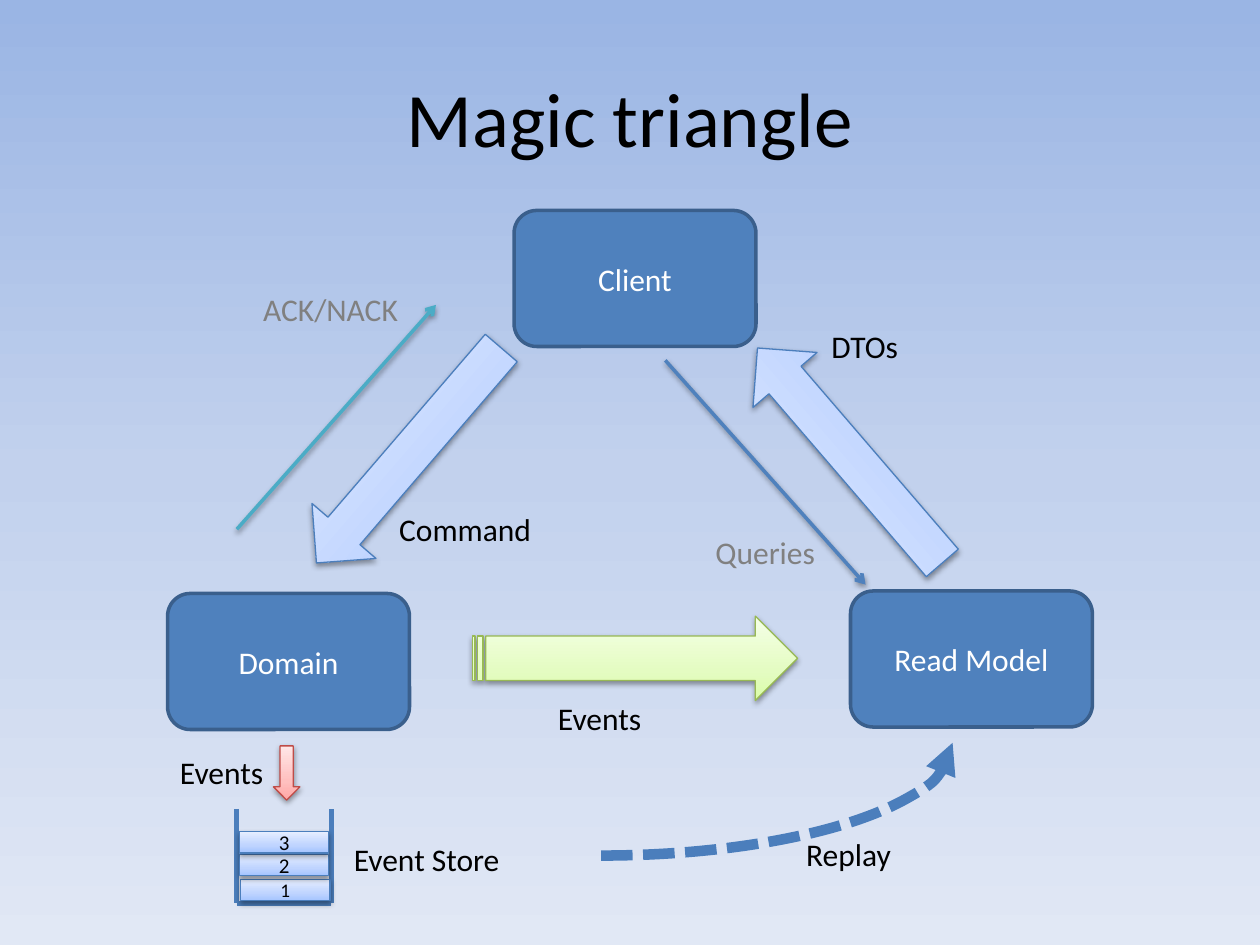
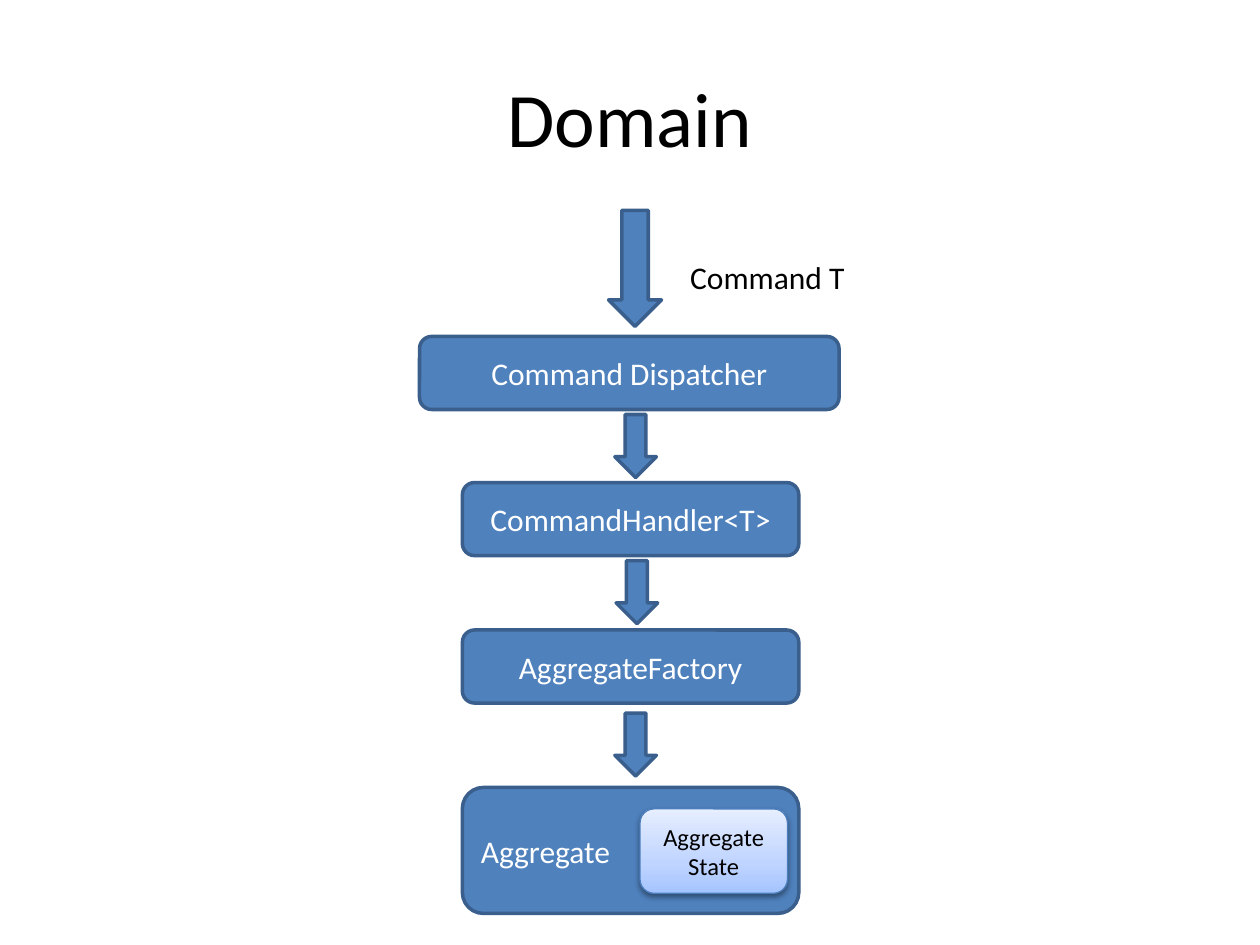
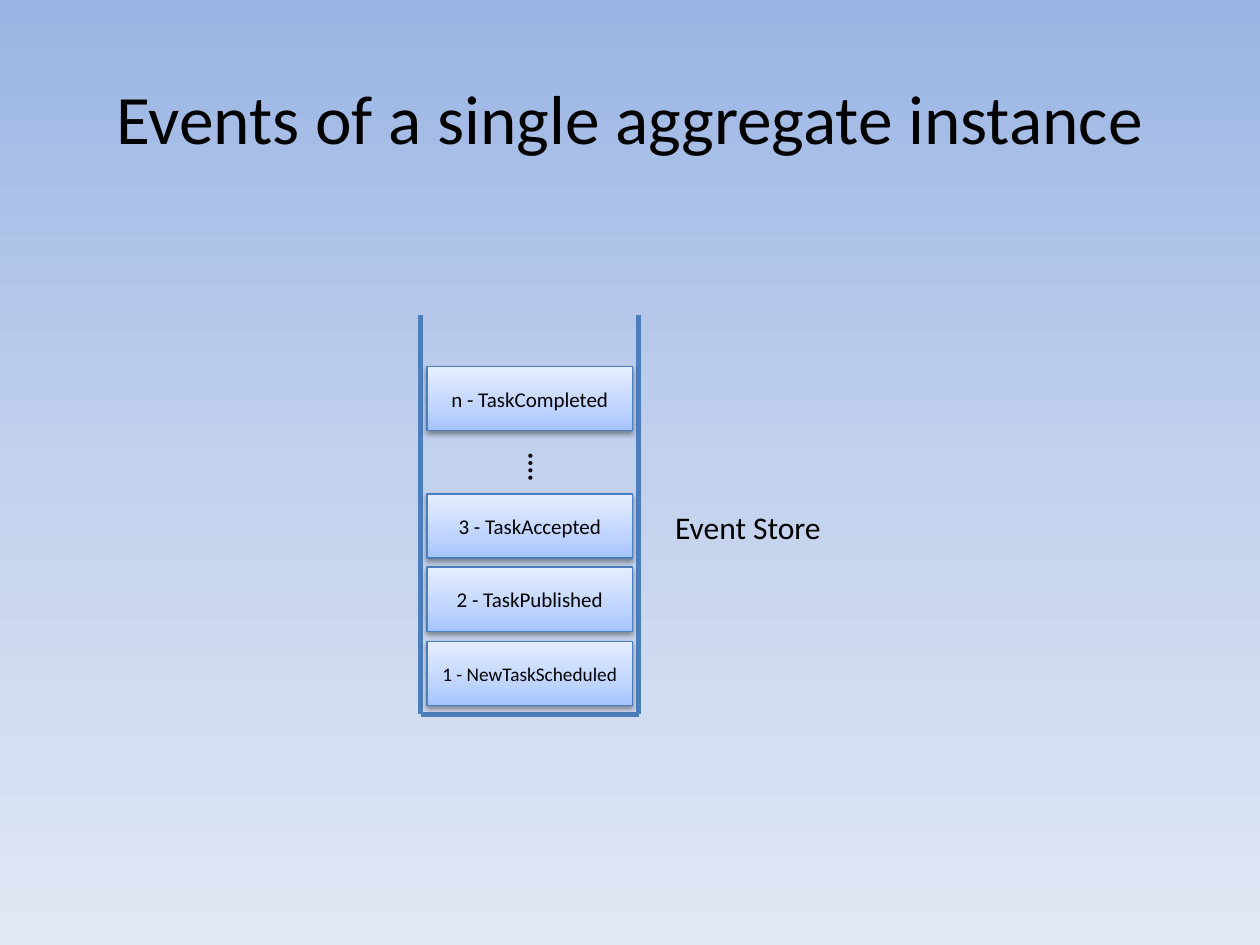
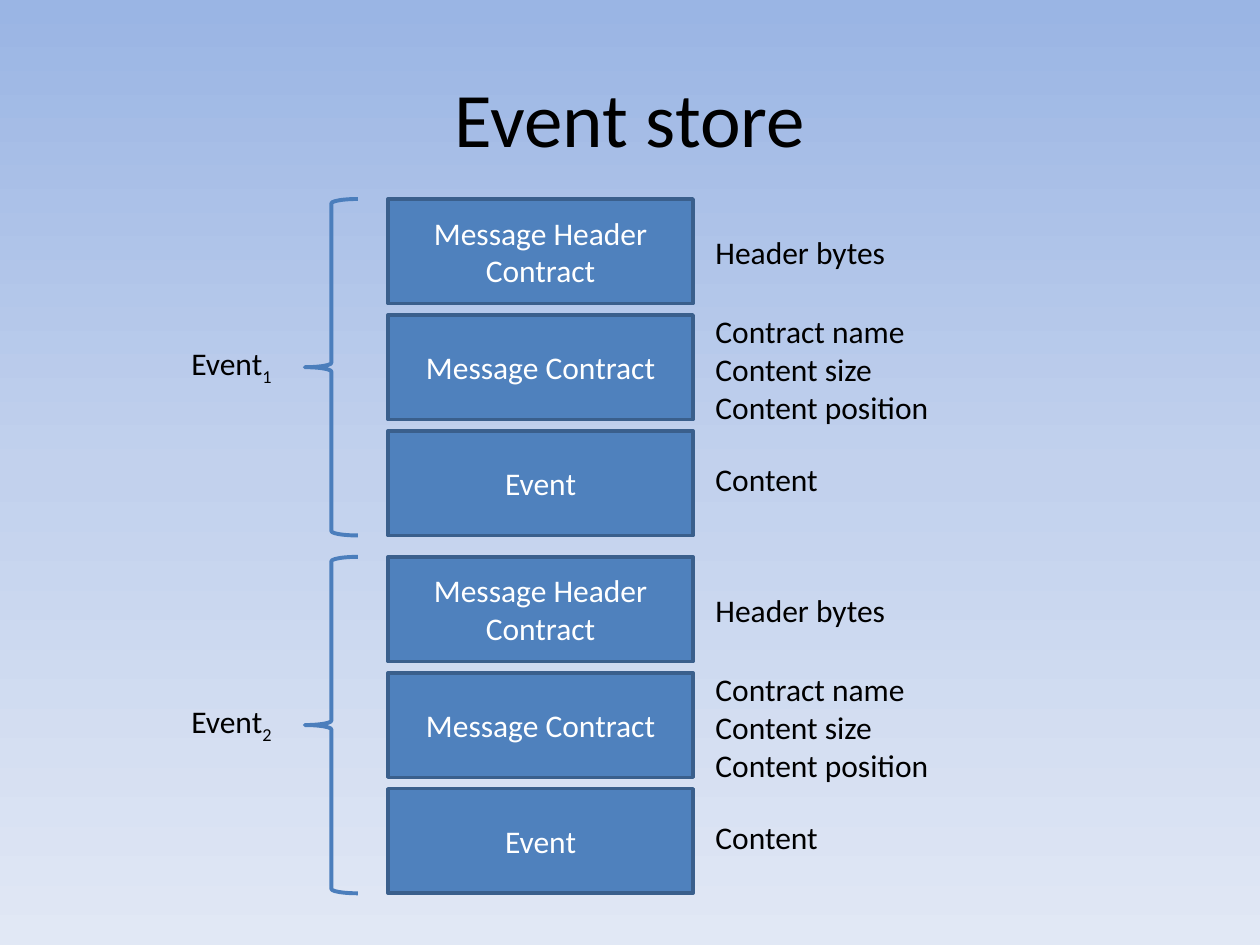
from copy import deepcopy

from lxml import etree
from pptx import Presentation
from pptx.dml.color import RGBColor
from pptx.enum.dml import MSO_LINE
from pptx.enum.shapes import MSO_CONNECTOR, MSO_SHAPE
from pptx.enum.text import MSO_ANCHOR, MSO_AUTO_SIZE, PP_ALIGN
from pptx.oxml.ns import qn
from pptx.util import Inches, Pt

ROUNDED, RECT = MSO_SHAPE.ROUNDED_RECTANGLE, MSO_SHAPE.RECTANGLE
RIGHT_ARROW, DOWN_ARROW = MSO_SHAPE.RIGHT_ARROW, MSO_SHAPE.DOWN_ARROW
STRIPED_ARROW = MSO_SHAPE.STRIPED_RIGHT_ARROW
ARC, BRACE = MSO_SHAPE.ARC, MSO_SHAPE.LEFT_BRACE
LEFT, CENTER, MIDDLE = PP_ALIGN.LEFT, PP_ALIGN.CENTER, MSO_ANCHOR.MIDDLE

FONT = "Calibri"
COLORS = {
    "black": "000000", "white": "FFFFFF", "grey": "808080",
    "blue": "4F81BD", "navy": "3A5F8C", "steel": "4B7EBC",
    "teal": "4BACC6", "green": "98B955", "red": "BF4C48",
}
RGB = {name: RGBColor.from_string(value) for name, value in COLORS.items()}

# Gradients: three colours and the position of the middle one
BACKDROP = (("9AB5E4", "C2D1ED", "E1E8F5"), 0.5)
PALE_BLUE = (("A4C4FF", "BFD4FF", "E6EEFF"), 0.35)
PALE_GREEN = (("DAFDA7", "E4FCC2", "F5FFE7"), 0.35)
PALE_RED = (("FFA6A5", "FFC0BF", "FFE7E7"), 0.35)

# Looks: fill, line colour, line width, text colour
LOOKS = {
    "solid": ("blue", "navy", 2, "white"),
    "pale": (PALE_BLUE, "steel", 0.75, "black"),
    "green": (PALE_GREEN, "green", 0.75, "black"),
    "red": (PALE_RED, "red", 0.75, "black"),
    "replay": (None, "steel", 6, "black"),
    "brace": (None, "steel", 2.25, "black"),
}
SHADOW = etree.fromstring(
    '<a:outerShdw xmlns:a="http://schemas.openxmlformats.org/drawingml/2006/main" '
    'blurRad="40000" dist="20000" dir="5400000" rotWithShape="0">'
    '<a:srgbClr val="000000"><a:alpha val="38000"/></a:srgbClr></a:outerShdw>')


def fill_gradient(fill, holder, gradient, angle):
    """Fill with three colours; holder is the element that contains the fill."""
    colors, middle = gradient
    fill.gradient()
    fill.gradient_angle = angle
    stop_list = holder.find(".//" + qn("a:gsLst"))
    stop_list.insert(1, deepcopy(stop_list[0]))
    for stop, color, position in zip(fill.gradient_stops, colors, (0, middle, 1)):
        stop.color.rgb = RGBColor.from_string(color)
        stop.position = position


def draw(slide, kind, box, look=None, text="", size=18, align=CENTER, color="black"):
    """Draw a preset shape in one of the looks, or a plain label if kind is None."""
    place = [Inches(value) for value in box]
    if kind is None:
        shape = slide.shapes.add_textbox(*place)
        shape.text_frame.word_wrap = False
        shape.text_frame.auto_size = MSO_AUTO_SIZE.SHAPE_TO_FIT_TEXT
        align = LEFT
    else:
        shape = slide.shapes.add_shape(kind, *place)
        fill, line, width, color = LOOKS[look]
        shape.shadow.inherit = False
        shape.line.color.rgb = RGB[line]
        shape.line.width = Pt(width)
        if fill is None:
            shape.fill.background()
        elif isinstance(fill, str):
            shape.fill.solid()
            shape.fill.fore_color.rgb = RGB[fill]
        else:
            fill_gradient(shape.fill, shape._element.spPr, fill, 90)
            shape._element.spPr.find(qn("a:effectLst")).append(deepcopy(SHADOW))
        shape.text_frame.vertical_anchor = MIDDLE
    if text:
        shape.text_frame.text = text
        for paragraph in shape.text_frame.paragraphs:
            paragraph.alignment = align
            paragraph.font.name = FONT
            paragraph.font.size = Pt(size)
            paragraph.font.color.rgb = RGB[color]
    return shape


prs = Presentation()
prs.slide_width, prs.slide_height = Inches(10), Inches(7.5)

# Slides with their titles and backgrounds
slides = []
for heading, size, backdrop in [
    ("Magic triangle", 44, True),
    ("Domain", 44, False),
    ("Events of a single aggregate instance", 39.6, True),
    ("Event store", 44, True),
]:
    slide = prs.slides.add_slide(prs.slide_layouts[5])
    if backdrop:
        fill_gradient(slide.background.fill, slide._element, BACKDROP, 270)
    title = slide.shapes.title
    title.left, title.top = Inches(0.5), Inches(0.3)
    title.width, title.height = Inches(9), Inches(1.25)
    title.text_frame.text = heading
    title.text_frame.vertical_anchor = MIDDLE
    paragraph = title.text_frame.paragraphs[0]
    paragraph.alignment = CENTER
    paragraph.font.name = FONT
    paragraph.font.size = Pt(size)
    paragraph.font.color.rgb = RGB["black"]
    slides.append(slide)
triangle, domain, instance, store = slides

# Lines: open containers of both event stores, then the two thin arrows
lines = []
for slide, left, right, top, bottom in [
    (triangle, 1.88, 2.63, 6.42, 7.17),
    (instance, 3.34, 5.07, 2.5, 5.67),
]:
    corners = [(left, top), (left, bottom), (right, bottom), (right, top)]
    for start, end in zip(corners, corners[1:]):
        lines.append((slide, start, end, "steel", 3, False))
lines.append((triangle, (1.88, 4.2), (3.46, 2.42), "teal", 2, True))
lines.append((triangle, (5.28, 2.86), (6.87, 4.64), "blue", 2, True))
for slide, start, end, color, width, is_arrow in lines:
    line = slide.shapes.add_connector(
        MSO_CONNECTOR.STRAIGHT, *[Inches(value) for value in start + end])
    line.line.color.rgb = RGB[color]
    line.line.width = Pt(width)
    effects = etree.SubElement(line._element.spPr, qn("a:effectLst"))
    if is_arrow:
        etree.SubElement(line.line._get_or_add_ln(), qn("a:tailEnd"), type="arrow")
        effects.append(deepcopy(SHADOW))

# Magic triangle: the three corners
for name, left, top in [
    ("Client", 4.08, 1.67), ("Read Model", 6.75, 4.69), ("Domain", 1.33, 4.71),
]:
    draw(triangle, ROUNDED, (left, top, 1.92, 1.08), "solid", name)

# Magic triangle: block arrows
events_arrow = draw(triangle, STRIPED_ARROW, (3.75, 4.89, 2.58, 0.67), "green")
events_arrow.adjustments[0] = 0.528
command_arrow = draw(triangle, RIGHT_ARROW, (2.12, 3.28, 2.25, 0.67), "pale")
command_arrow.rotation = 130.7
command_arrow._element.spPr.xfrm.set("flipV", "1")
dto_arrow = draw(triangle, RIGHT_ARROW, (5.62, 3.28, 2.25, 0.67), "pale")
dto_arrow.rotation = 229.3
draw(triangle, DOWN_ARROW, (2.17, 5.92, 0.21, 0.43), "red")

# Magic triangle: stored events and the replay curve
for number, left, top, size in [
    ("1", 1.91, 6.98, 11), ("2", 1.9, 6.78, 12), ("3", 1.9, 6.6, 12),
]:
    draw(triangle, RECT, (left, top, 0.71, 0.17), "pale", number, size)
replay = draw(triangle, ARC, (1.98, 5, 5.58, 1.79), "replay")
replay.rotation = 180
replay._element.spPr.xfrm.set("flipH", "1")
replay.line.dash_style = MSO_LINE.SQUARE_DOT
etree.SubElement(replay.line._get_or_add_ln(), qn("a:tailEnd"), type="triangle")

# Magic triangle: labels
for text, left, top, width, color in [
    ("Events", 4.33, 5.5, 0.87, "black"),
    ("Command", 3.07, 4, 1.26, "black"),
    ("DTOs", 6.5, 2.55, 0.74, "black"),
    ("Event Store", 2.71, 6.62, 1.37, "black"),
    ("Events", 1.33, 5.93, 0.87, "black"),
    ("Replay", 6.3, 6.58, 0.88, "black"),
    ("ACK/NACK", 1.99, 2.25, 1.28, "grey"),
    ("Queries", 5.58, 4.18, 1, "grey"),
]:
    draw(triangle, None, (left, top, width, 0.4), text=text, color=color)

# Domain: chain of steps, arrows between them, and the state
for text, left, top, width, height, align in [
    ("Command Dispatcher", 3.33, 2.67, 3.33, 0.58, CENTER),
    ("CommandHandler<T>", 3.67, 3.83, 2.67, 0.58, CENTER),
    ("AggregateFactory", 3.67, 5, 2.67, 0.58, CENTER),
    ("Aggregate", 3.67, 6.25, 2.67, 1, LEFT),
]:
    draw(domain, ROUNDED, (left, top, width, height), "solid", text, align=align)
for arrow_box in [
    (4.83, 1.67, 0.42, 0.92), (4.88, 3.29, 0.33, 0.5),
    (4.89, 4.45, 0.33, 0.5), (4.88, 5.66, 0.33, 0.5),
]:
    draw(domain, DOWN_ARROW, arrow_box, "solid")
draw(domain, None, (5.38, 2, 1.44, 0.4), text="Command T")
draw(domain, ROUNDED, (5.08, 6.42, 1.17, 0.67), "pale", "Aggregate\nState", 14)

# Events of a single aggregate instance
for text, top, size in [
    ("1 - NewTaskScheduled", 5.09, 11), ("2 - TaskPublished", 4.5, 12),
    ("3 - TaskAccepted", 3.92, 12), ("n - TaskCompleted", 2.91, 12),
]:
    draw(instance, RECT, (3.39, top, 1.63, 0.51), "pale", text, size)
draw(instance, None, (5.26, 3.98, 3.16, 1.24), text="Event Store")
more_events = draw(instance, None, (4.08, 3.5, 0.27, 0.37), text="⁞", size=16)
more_events.text_frame.paragraphs[0].font.bold = True

# Event store: two events with the same three parts
for number, event_top in [("1", 1.58), ("2", 4.42)]:
    for row, part in enumerate(["Message Header\nContract", "Message Contract", "Event"]):
        draw(store, RECT, (3.08, event_top + row * 0.92, 2.42, 0.83), "solid", part)
    for text, offset, width, height in [
        ("Header bytes", 0.22, 1.56, 0.4),
        ("Contract name\nContent size\nContent position", 0.85, 1.91, 1.01),
        ("Content", 2.02, 1.02, 0.4),
    ]:
        draw(store, None, (5.58, event_top + offset, width, height), text=text)
    draw(store, BRACE, (2.42, event_top, 0.42, 2.67), "brace")
    event_label = draw(store, None, (1.42, event_top + 1.1, 0.86, 0.4), text="Event")
    subscript = event_label.text_frame.paragraphs[0].add_run()
    subscript.text = number
    subscript.font._element.set("baseline", "-25000")

prs.save("out.pptx")
